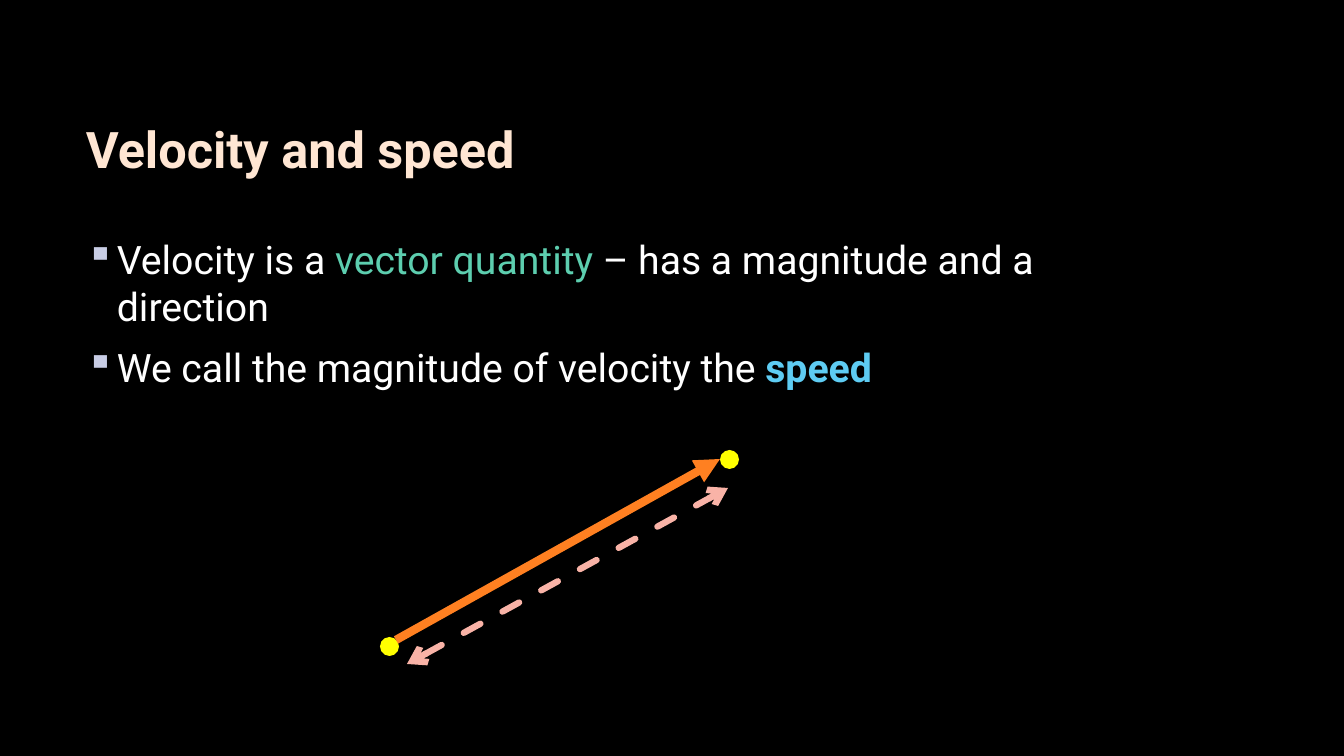
from lxml.etree import SubElement as Sub
from pptx import Presentation
from pptx.dml.color import RGBColor as RGB
from pptx.enum.dml import MSO_LINE as Dash
from pptx.enum.shapes import MSO_CONNECTOR as Link, MSO_SHAPE as Form
from pptx.enum.text import MSO_ANCHOR as Anchor
from pptx.oxml.ns import qn
from pptx.util import Pt

WIDE, HIGH = 1344, 756
SCALE = 12192000 / WIDE
COLORS = {
    "back": "000000", "title": "FFE6D3", "text": "FFFFFF", "mark": "C8CDE5",
    "vector": "5DCEAF", "speed": "5ECCF3", "dot": "FFFF00",
    "arrow": "FF8021", "span": "F9B3A7",
}


def px(count):
    return round(count * SCALE)


def tint(name):
    return RGB.from_string(COLORS[name])


def write(para, text, size=28, color="text", bold=False):
    run = para.add_run()
    run.text = text
    font = run.font
    font.name, font.size, font.bold = "Roboto", Pt(size), bold
    font.color.rgb = tint(color)


class Page:
    def __init__(self, deck):
        self.slide = deck.slides.add_slide(deck.slide_layouts[6])
        self.shapes = self.slide.shapes
        fill = self.slide.background.fill
        fill.solid()
        fill.fore_color.rgb = tint("back")

    def box(self, *area, anchor=Anchor.TOP):
        frame = self.shapes.add_textbox(*map(px, area)).text_frame
        frame.word_wrap = True
        frame.vertical_anchor = anchor
        return frame

    def bullet(self, para, indent=31):
        props = para._p.get_or_add_pPr()
        props.set("marL", str(px(indent)))
        props.set("indent", str(-px(indent)))
        shade = Sub(props, qn("a:buClr"))
        Sub(shade, qn("a:srgbClr"), val=COLORS["mark"])
        Sub(props, qn("a:buChar"), char="▪")
        para.space_after = Pt(10)

    def dot(self, left, top, size=19):
        shape = self.shapes.add_shape(Form.OVAL, *map(px, (left, top, size, size)))
        shape.shadow.inherit = False
        shape.fill.solid()
        shape.fill.fore_color.rgb = tint("dot")
        shape.line.fill.background()

    def arrow(self, *ends, color, width, tips, dash=None):
        """Draw a line; tips maps headEnd (start) and tailEnd (end) to a type."""
        link = self.shapes.add_connector(Link.STRAIGHT, *map(px, ends))
        line = link.line
        line.color.rgb = tint(color)
        line.width = Pt(width)
        if dash:
            line.dash_style = dash
        props = link._element.spPr
        stroke = props.find(qn("a:ln"))
        if dash:
            stroke.set("cap", "rnd")
        for end, kind in tips.items():
            Sub(stroke, qn("a:" + end), type=kind)
        Sub(props, qn("a:effectLst"))


def main():
    deck = Presentation()
    deck.slide_width, deck.slide_height = px(WIDE), px(HIGH)
    page = Page(deck)

    title = page.box(76, 68, 1117, 160, anchor=Anchor.MIDDLE)
    write(title.paragraphs[0], "Velocity and speed", size=36, color="title", bold=True)

    points = [
        [("Velocity is a ", {}), ("vector quantity ", {"color": "vector"}),
         ("– has a magnitude and a direction", {})],
        [("We call the magnitude of velocity the ", {}),
         ("speed", {"color": "speed", "bold": True})],
    ]
    body = page.box(76, 230, 1117, 402)
    for rank, parts in enumerate(points):
        para = body.add_paragraph() if rank else body.paragraphs[0]
        page.bullet(para)
        for text, style in parts:
            write(para, text, **style)

    for spot in ((380, 637), (720, 450)):
        page.dot(*spot)
    page.arrow(396, 640, 720, 459, color="arrow", width=6,
               tips={"tailEnd": "triangle"})
    page.arrow(407, 664, 728, 488, color="span", width=4.5, dash=Dash.DASH,
               tips={"headEnd": "arrow", "tailEnd": "arrow"})
    deck.save("out.pptx")


if __name__ == "__main__":
    main()
